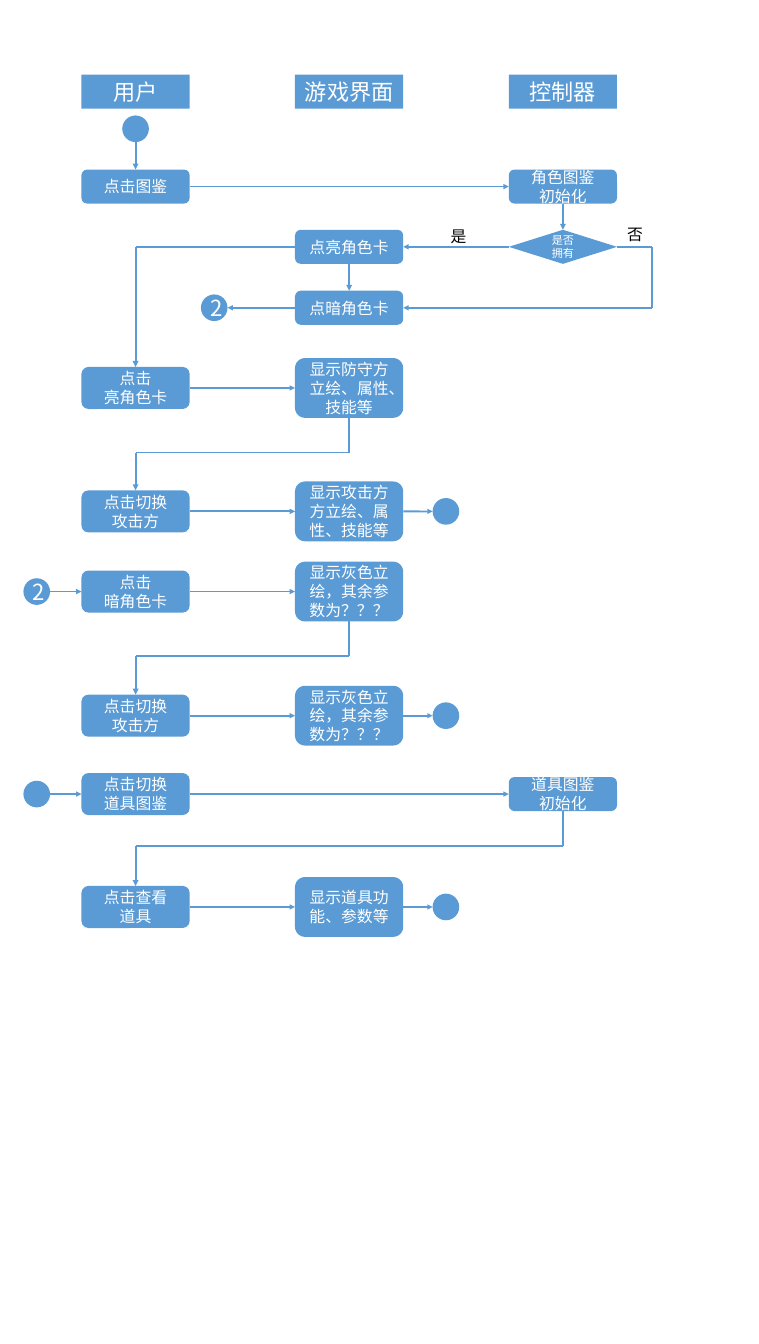
from collections import namedtuple
from itertools import pairwise

from lxml import etree
from pptx import Presentation
from pptx.dml.color import RGBColor
from pptx.enum.shapes import MSO_CONNECTOR, MSO_SHAPE as Kind
from pptx.enum.text import MSO_ANCHOR, PP_ALIGN
from pptx.oxml.ns import qn
from pptx.util import Cm, Pt

COLORS = {"blue": "5B9BD5", "white": "FFFFFF", "black": "000000"}
FONT = "Noto Sans CJK SC"
TOP, LEFT, BOTTOM, RIGHT = range(4)
USER, SCREEN, CONTROL = 6.05, 15.58, 25.12
ENTRY, EXIT = 1.64, 19.9
BOX_W, LOW, MID, TALL, DOT = 4.83, 1.52, 1.88, 2.67, 1.19
DROP = Cm(1.55)

Stop = namedtuple("Stop", "x y shape site", defaults=(None, None))


def side(sp, site):
    x = sp.left + {LEFT: 0, RIGHT: sp.width}.get(site, sp.width // 2)
    y = sp.top + {TOP: 0, BOTTOM: sp.height}.get(site, sp.height // 2)
    if sp.auto_shape_type == Kind.OVAL:
        return Stop(x, y)
    return Stop(x, y, sp, site)


class Flow:
    def __init__(self, slide):
        self.shapes = slide.shapes

    def color(self, name):
        return RGBColor.from_string(COLORS[name])

    def add_lines(self, tf, lines, size, color, align):
        for i, line in enumerate(lines):
            p = tf.add_paragraph() if i else tf.paragraphs[0]
            p.alignment = align
            r = p.add_run()
            r.text = line
            r.font.size = Pt(size)
            r.font.name = FONT
            r.font.color.rgb = self.color(color)
            ea = etree.SubElement(r._r.get_or_add_rPr(), qn("a:ea"))
            ea.set("typeface", FONT)

    def node(self, x, y, *lines, h=LOW, w=BOX_W, size=20, kind=Kind.ROUNDED_RECTANGLE):
        sp = self.shapes.add_shape(kind, Cm(x - w / 2), Cm(y - h / 2), Cm(w), Cm(h))
        sp.shadow.inherit = False
        sp.fill.solid()
        sp.fill.fore_color.rgb = self.color("blue")
        sp.line.fill.background()
        tf = sp.text_frame
        tf.word_wrap = True
        tf.vertical_anchor = MSO_ANCHOR.MIDDLE
        self.add_lines(tf, lines, size, "white", PP_ALIGN.CENTER)
        return sp

    def dot(self, x, y, *lines):
        return self.node(x, y, *lines, h=DOT, w=DOT, size=28, kind=Kind.OVAL)

    def label(self, x, y, text):
        tf = self.shapes.add_textbox(Cm(x), Cm(y), Cm(1.22), Cm(1.12)).text_frame
        tf.word_wrap = False
        self.add_lines(tf, [text], 20, "black", PP_ALIGN.LEFT)

    def arrow(self, *stops):
        for a, b in pairwise(stops):
            last = b is stops[-1]
            c = self.shapes.add_connector(MSO_CONNECTOR.STRAIGHT, a.x, a.y, b.x, b.y)
            if a.shape is not None:
                c.begin_connect(a.shape, a.site)
            if b.shape is not None:
                c.end_connect(b.shape, b.site)
            c.line.color.rgb = self.color("blue")
            c.line.width = Pt(2.5 if last and b.site == TOP else 2.25)
            spPr = c._element.spPr
            if last:
                tail = etree.SubElement(spPr.find(qn("a:ln")), qn("a:tailEnd"))
                tail.set("type", "triangle")
            etree.SubElement(spPr, qn("a:effectLst"))

    def across(self, a, b):
        self.arrow(side(a, RIGHT), side(b, LEFT))

    def back(self, a, b):
        self.arrow(side(a, LEFT), side(b, RIGHT))

    def down(self, a, b):
        self.arrow(side(a, BOTTOM), side(b, TOP))

    def drop(self, a, b):
        start, end = side(a, BOTTOM), side(b, TOP)
        y = start.y + DROP
        self.arrow(start, Stop(start.x, y), Stop(end.x, y), end)


def main():
    prs = Presentation()
    prs.slide_width, prs.slide_height = Cm(33.87), Cm(60)
    flow = Flow(prs.slides.add_slide(prs.slide_layouts[6]))

    for x, title in ((USER, "用户"), (SCREEN, "游戏界面"), (CONTROL, "控制器")):
        flow.node(x, 4.09, title, size=28, kind=Kind.RECTANGLE)

    start = flow.dot(USER, 5.75)
    open_book = flow.node(USER, 8.33, "点击图鉴")
    init_roles = flow.node(CONTROL, 8.33, "角色图鉴", "初始化")
    owned = flow.node(CONTROL, 11.02, "是否", "拥有", size=14,
                      kind=Kind.FLOWCHART_DECISION)
    lit = flow.node(SCREEN, 11.02, "点亮角色卡")
    dark = flow.node(SCREEN, 13.74, "点暗角色卡")
    to_dark = flow.dot(9.56, 13.74, "2")
    flow.label(19.86, 9.98, "是")
    flow.label(27.74, 9.91, "否")

    click_lit = flow.node(USER, 17.32, "点击", "亮角色卡", h=MID)
    defender = flow.node(SCREEN, 17.32, "显示防守方立绘、属性、技能等", h=TALL)
    switch_lit = flow.node(USER, 22.83, "点击切换", "攻击方", h=MID)
    attacker = flow.node(SCREEN, 22.83, "显示攻击方方立绘、属性、技能等", h=TALL)

    from_dark = flow.dot(ENTRY, 26.41, "2")
    click_dark = flow.node(USER, 26.41, "点击", "暗角色卡", h=MID)
    switch_dark = flow.node(USER, 31.95, "点击切换", "攻击方", h=MID)
    gray, gray_switched = (
        flow.node(SCREEN, y, "显示灰色立绘，其余参数为？？？", h=TALL)
        for y in (26.41, 31.95))

    props_entry = flow.dot(ENTRY, 35.45)
    switch_props = flow.node(USER, 35.45, "点击切换", "道具图鉴", h=MID)
    init_props = flow.node(CONTROL, 35.45, "道具图鉴", "初始化")
    view_prop = flow.node(USER, 40.49, "点击查看", "道具", h=MID)
    prop_info = flow.node(SCREEN, 40.49, "显示道具功能、参数等", h=TALL)
    ends = [flow.dot(EXIT, y) for y in (22.83, 31.95, 40.49)]

    for a, b in ((start, open_book), (init_roles, owned), (lit, dark)):
        flow.down(a, b)
    for a, b in ((owned, lit), (dark, to_dark)):
        flow.back(a, b)
    for a, b in ((open_book, init_roles), (click_lit, defender),
                 (switch_lit, attacker), (from_dark, click_dark),
                 (click_dark, gray), (switch_dark, gray_switched),
                 (props_entry, switch_props), (switch_props, init_props),
                 (view_prop, prop_info),
                 *zip((attacker, gray_switched, prop_info), ends)):
        flow.across(a, b)
    for a, b in ((defender, switch_lit), (gray, switch_dark), (init_props, view_prop)):
        flow.drop(a, b)

    no, dark_in = side(owned, RIGHT), side(dark, RIGHT)
    flow.arrow(no, Stop(Cm(29.11), no.y), Stop(Cm(29.11), dark_in.y), dark_in)
    lit_out, lit_in = side(lit, LEFT), side(click_lit, TOP)
    flow.arrow(lit_out, Stop(lit_in.x, lit_out.y), lit_in)

    prs.save("out.pptx")


if __name__ == "__main__":
    main()
